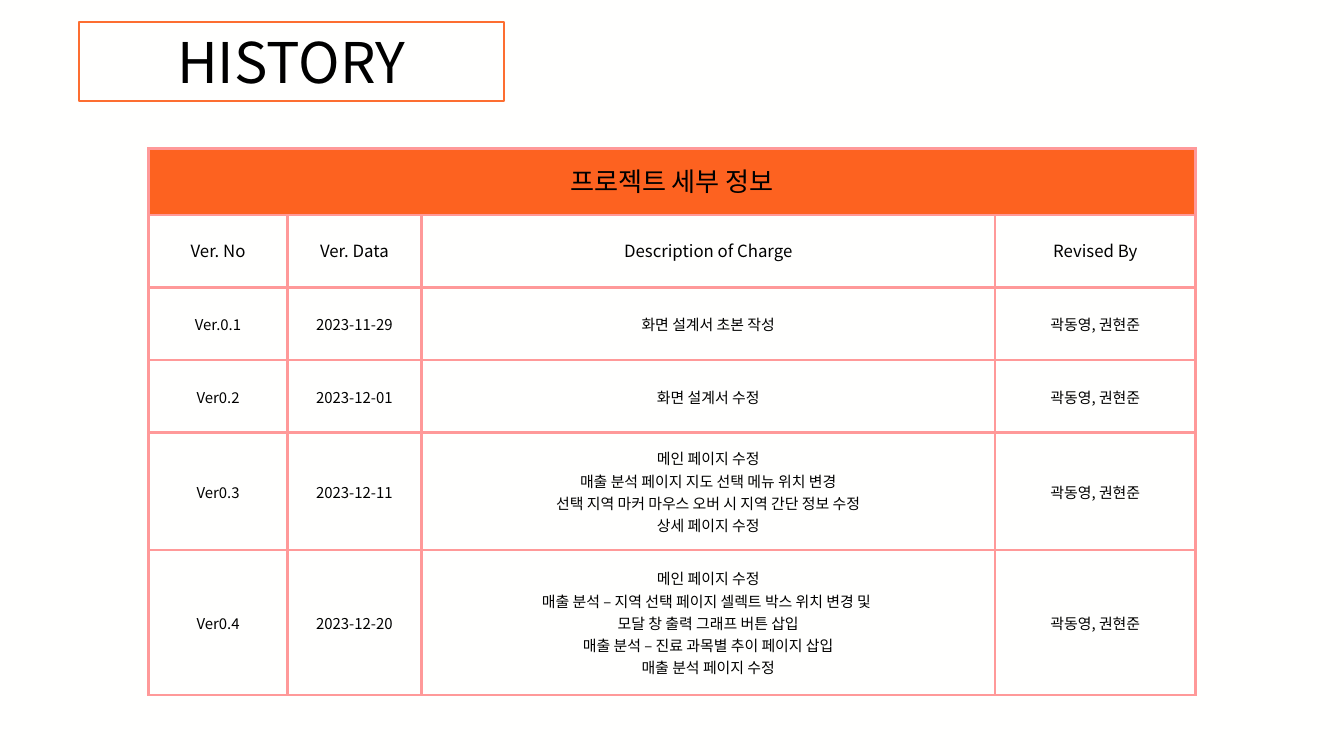
from lxml import etree
from pptx import Presentation
from pptx.dml.color import RGBColor
from pptx.enum.shapes import MSO_SHAPE
from pptx.enum.text import MSO_ANCHOR, PP_ALIGN
from pptx.oxml import parse_xml
from pptx.oxml.ns import qn
from pptx.util import Inches, Pt

RECT = MSO_SHAPE.RECTANGLE
MIDDLE = MSO_ANCHOR.MIDDLE
CENTER = PP_ALIGN.CENTER
FONT = "Noto Sans CJK KR"
NS = "http://schemas.openxmlformats.org/drawingml/2006/main"


def color(code):
    return RGBColor.from_string(code)


def write(frame, lines, size, space=None):
    for i, line in enumerate(lines):
        para = frame.paragraphs[0] if i == 0 else frame.add_paragraph()
        para.alignment = CENTER
        para.line_spacing = space
        run = para.add_run()
        run.text = line
        run.font.size = Pt(size)
        run.font.color.rgb = color("000000")
        run.font.name = FONT
        east = etree.SubElement(run.font._element, qn("a:ea"))
        east.set("typeface", FONT)


prs = Presentation()
prs.slide_width = Inches(20)
prs.slide_height = Inches(11.25)
slide = prs.slides.add_slide(prs.slide_layouts[6])
slide.background.fill.solid()
slide.background.fill.fore_color.rgb = color("FFFFFE")

# Revision table: each cell is a list of lines
names = ["곽동영, 권현준"]
rows = [
    [["프로젝트 세부 정보"], [], [], []],
    [["Ver. No"], ["Ver. Data"], ["Description of Charge"], ["Revised By"]],
    [["Ver.0.1"], ["2023-11-29"], ["화면 설계서 초본 작성"], names],
    [["Ver0.2"], ["2023-12-01"], ["화면 설계서 수정"], names],
    [["Ver0.3"], ["2023-12-11"],
     ["메인 페이지 수정",
      "매출 분석 페이지 지도 선택 메뉴 위치 변경",
      "선택 지역 마커 마우스 오버 시 지역 간단 정보 수정",
      "상세 페이지 수정"], names],
    [["Ver0.4"], ["2023-12-20"],
     ["메인 페이지 수정",
      "매출 분석 – 지역 선택 페이지 셀렉트 박스 위치 변경 및 ",
      "모달 창 출력 그래프 버튼 삽입",
      "매출 분석 – 진료 과목별 추이 페이지 삽입",
      "매출 분석 페이지 수정"], names],
]
widths = [2.07, 1.99, 8.54, 2.98]
heights = [0.99, 1.08, 1.08, 1.08, 1.69, 2.16]
sizes = [28, 18, 16, 16, 16, 16]

table = slide.shapes.add_table(
    len(rows), len(widths), Inches(2.21), Inches(2.21),
    Inches(sum(widths)), Inches(sum(heights))).table
table.first_row = False
table.horz_banding = False
for col, width in zip(table.columns, widths):
    col.width = Inches(width)
for row, height in zip(table.rows, heights):
    row.height = Inches(height)

for r, row in enumerate(rows):
    for c, lines in enumerate(row):
        cell = table.cell(r, c)
        cell.vertical_anchor = MIDDLE
        cell.margin_left = cell.margin_right = Inches(0.21)
        cell.margin_top = Inches(0.39 if r == 0 else 0.21)
        cell.margin_bottom = Inches(0.21)
        if r == 0:
            cell.fill.solid()
            cell.fill.fore_color.rgb = color("FD6220")
        else:
            cell.fill.background()
        write(cell.text_frame, lines, sizes[r], Pt(23.8))
        # Borders come before the fill in the cell properties
        props = cell._tc.get_or_add_tcPr()
        for i, side in enumerate(["lnL", "lnR", "lnT", "lnB"]):
            props.insert(i, parse_xml(
                f'<a:{side} xmlns:a="{NS}" w="{Pt(3)}"><a:solidFill>'
                f'<a:srgbClr val="FF9999"/></a:solidFill></a:{side}>'))
table.cell(0, 0).merge(table.cell(0, 3))

# Title box
title = slide.shapes.add_shape(
    RECT, Inches(1.17), Inches(0.33), Inches(6.33), Inches(1.17))
title.shadow.inherit = False
title.fill.background()
title.line.color.rgb = color("FD6E31")
title.line.width = Pt(2)
title.text_frame.vertical_anchor = MIDDLE
write(title.text_frame, ["HISTORY"], 60)

prs.save("out.pptx")
